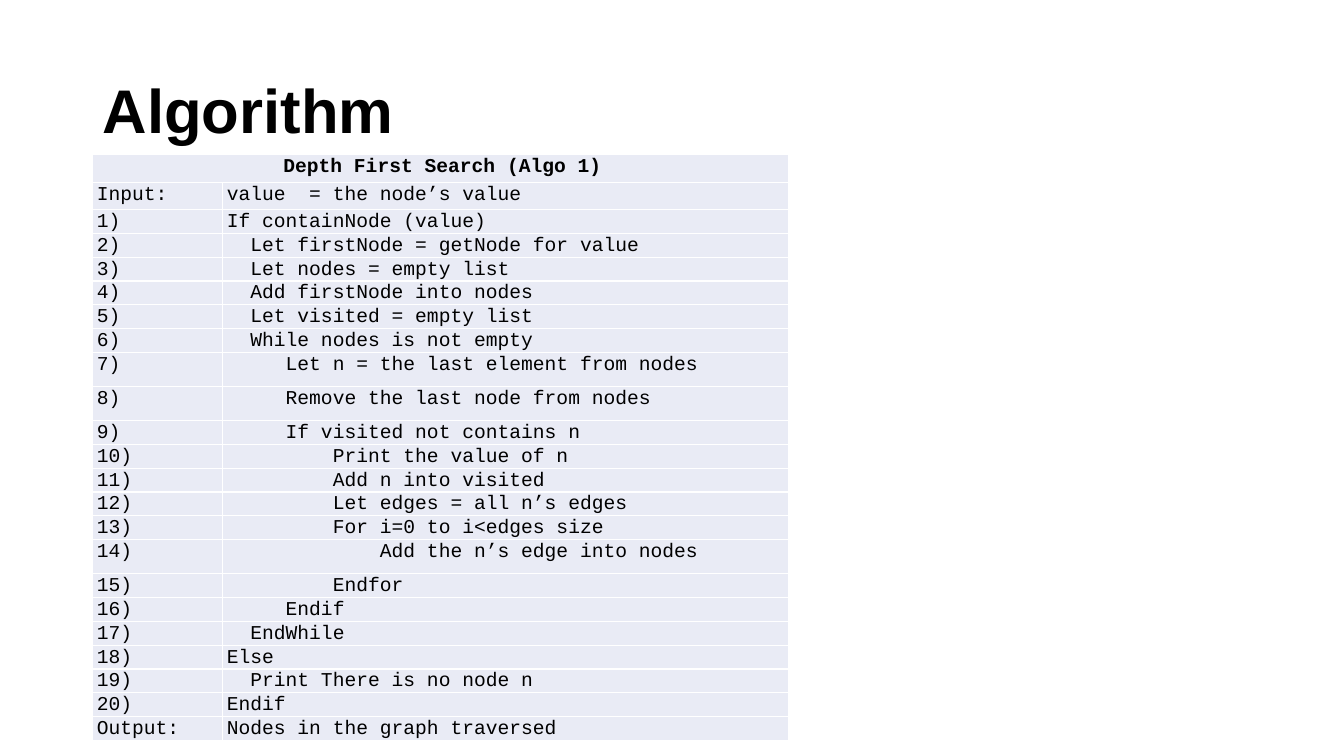
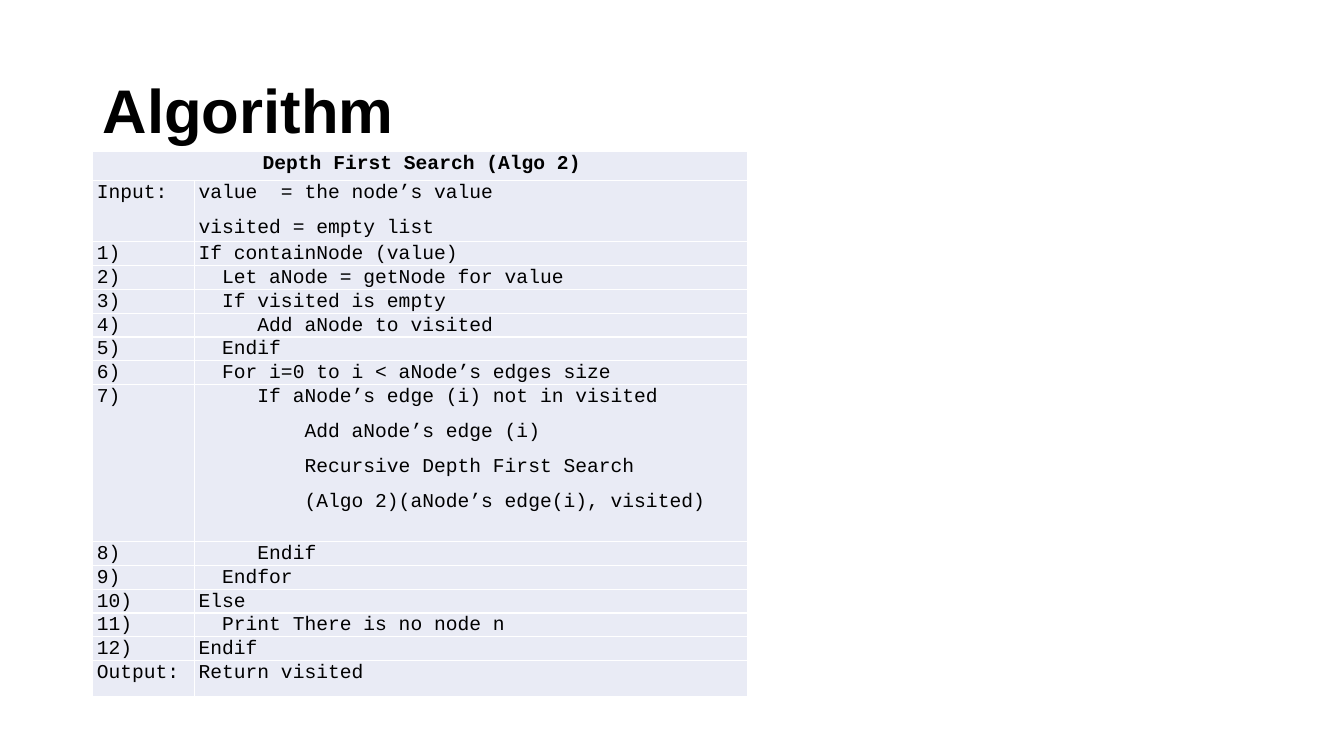
from dataclasses import dataclass

from pptx import Presentation
from pptx import util as u
from pptx.dml.color import RGBColor
from pptx.enum import text

BLACK, CELL_FILL = "000000", "E9EBF5"
TITLE_FONT, CODE_FONT = "Arial", "Courier New"
MARGIN = 0.92
LINE, SPACED_LINE = 0.23, 0.34


@dataclass(frozen=True)
class Step:
    code: str
    height: float = LINE


@dataclass(frozen=True)
class Algorithm:
    name: str
    top: float
    columns: tuple[float, float]
    name_height: float
    given: Step
    steps: tuple[Step, ...]
    output: Step


ALGORITHMS = (
    Algorithm(
        name="Depth First Search (Algo 1)",
        top=1.53,
        columns=(1.29, 5.61),
        name_height=0.28,
        given=Step("value  = the node’s value", 0.27),
        steps=(
            Step("If containNode (value)"),
            Step("  Let firstNode = getNode for value"),
            Step("  Let nodes = empty list"),
            Step("  Add firstNode into nodes"),
            Step("  Let visited = empty list"),
            Step("  While nodes is not empty"),
            Step("     Let n = the last element from nodes", SPACED_LINE),
            Step("     Remove the last node from nodes", SPACED_LINE),
            Step("     If visited not contains n"),
            Step("         Print the value of n"),
            Step("         Add n into visited"),
            Step("         Let edges = all n’s edges"),
            Step("         For i=0 to i<edges size"),
            Step("             Add the n’s edge into nodes", SPACED_LINE),
            Step("         Endfor"),
            Step("     Endif"),
            Step("  EndWhile"),
            Step("Else"),
            Step("  Print There is no node n"),
            Step("Endif"),
        ),
        output=Step("Nodes in the graph traversed"),
    ),
    Algorithm(
        name="Depth First Search (Algo 2)",
        top=1.5,
        columns=(1.01, 5.48),
        name_height=0.29,
        given=Step("value  = the node’s value\nvisited = empty list", 0.61),
        steps=(
            Step("If containNode (value)"),
            Step("  Let aNode = getNode for value"),
            Step("  If visited is empty"),
            Step("     Add aNode to visited"),
            Step("  Endif"),
            Step("  For i=0 to i < aNode’s edges size"),
            Step(
                "     If aNode’s edge (i) not in visited\n"
                "         Add aNode’s edge (i)\n"
                "         Recursive Depth First Search\n"
                "         (Algo 2)(aNode’s edge(i), visited)",
                1.56,
            ),
            Step("     Endif"),
            Step("  Endfor"),
            Step("Else"),
            Step("  Print There is no node n"),
            Step("Endif"),
        ),
        output=Step("Return visited", 0.36),
    ),
)


def color(value: str) -> RGBColor:
    return RGBColor.from_string(value)


def style_font(font, name: str, size: float, bold: bool) -> None:
    font.name, font.size, font.bold = name, u.Pt(size), bold
    font.color.rgb = color(BLACK)


def add_title(slide, words: str) -> None:
    title = slide.shapes.title
    title.left, title.top = u.Inches(MARGIN), u.Inches(0.4)
    title.width, title.height = u.Inches(11.5), u.Inches(1.45)
    title.text_frame.text = words
    title.text_frame.vertical_anchor = text.MSO_ANCHOR.MIDDLE
    heading = title.text_frame.paragraphs[0]
    heading.alignment = text.PP_ALIGN.LEFT
    heading.line_spacing = 0.9
    style_font(heading.font, TITLE_FONT, 44, True)


def fill_cell(cell, words: str, is_name: bool = False) -> None:
    cell.fill.solid()
    cell.fill.fore_color.rgb = color(CELL_FILL)
    cell.margin_left = u.Inches(0.04)
    cell.margin_right = cell.margin_top = cell.margin_bottom = 0
    cell.text_frame.text = words
    for line in cell.text_frame.paragraphs:
        line.alignment = text.PP_ALIGN.CENTER if is_name else text.PP_ALIGN.LEFT
        line.line_spacing = 1.07
        line.space_after = u.Pt(8)
        style_font(line.font, CODE_FONT, 14, is_name)


def add_listing(slide, algorithm: Algorithm) -> None:
    """Draw the name row, then one labelled row per step."""
    rows = [
        ("Input:", algorithm.given),
        *((f"{number})", step) for number, step in enumerate(algorithm.steps, 1)),
        ("Output:", algorithm.output),
    ]
    heights = [algorithm.name_height, *(step.height for _, step in rows)]
    listing = slide.shapes.add_table(
        len(heights), 2, u.Inches(MARGIN), u.Inches(algorithm.top),
        u.Inches(sum(algorithm.columns)), u.Inches(sum(heights)),
    ).table
    listing.first_row = listing.horz_banding = False
    for column, width in zip(listing.columns, algorithm.columns):
        column.width = u.Inches(width)
    for row, height in zip(listing.rows, heights):
        row.height = u.Inches(height)

    listing.cell(0, 0).merge(listing.cell(0, 1))
    fill_cell(listing.cell(0, 0), algorithm.name, is_name=True)
    for index, (label, step) in enumerate(rows, 1):
        fill_cell(listing.cell(index, 0), label)
        fill_cell(listing.cell(index, 1), step.code)


def main() -> None:
    deck = Presentation()
    deck.slide_width, deck.slide_height = u.Inches(13.33), u.Inches(7.5)
    title_only = deck.slide_layouts[5]
    for algorithm in ALGORITHMS:
        slide = deck.slides.add_slide(title_only)
        add_title(slide, "Algorithm")
        add_listing(slide, algorithm)
    deck.save("out.pptx")


if __name__ == "__main__":
    main()
